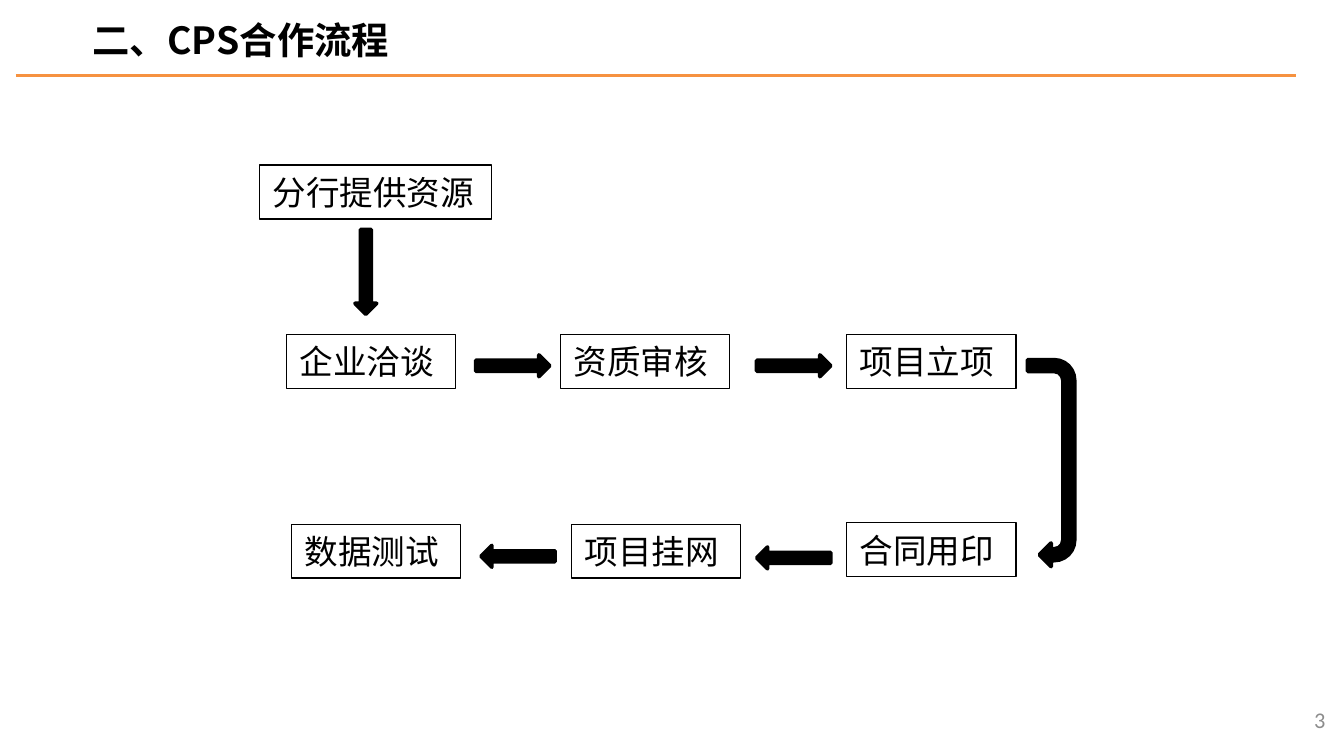
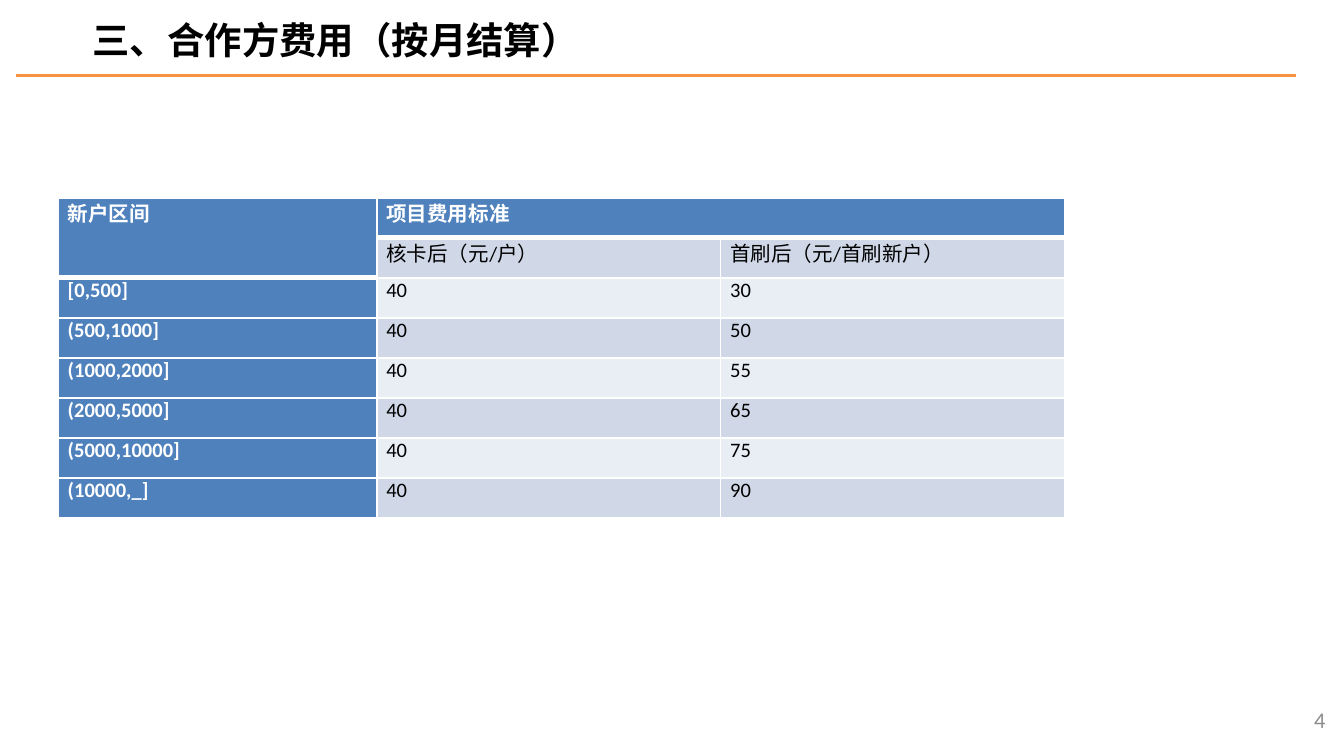
from dataclasses import dataclass

from lxml import etree
from pptx import Presentation
from pptx import util as u
from pptx.dml.color import RGBColor
from pptx.enum import shapes, text
from pptx.oxml.ns import qn

CJK_FONT = "Noto Sans CJK SC"
LATIN_FONT = "Calibri"
BLACK, WHITE, GREY = "000000", "FFFFFF", "8C8C8C"
ORANGE, HEADER_BLUE = "F69240", "4F81BD"
BANDS = ("D0D8E8", "E9EDF4")

TITLE_FORMAT = {"size": u.Pt(20), "bold": True, "name": CJK_FONT}
STEP_FORMAT = {"size": u.Pt(18), "bold": False, "name": CJK_FONT}
NUMBER_FORMAT = {"size": u.Pt(12), "bold": False, "name": LATIN_FONT}
HEADER_FORMAT = {"size": u.Pt(11), "bold": True, "name": LATIN_FONT}
BODY_FORMAT = {**HEADER_FORMAT, "bold": False}

STEP_HEIGHT = 1.02
ARROW_LENGTH, ARROW_WIDTH = 1.4, 0.41
ARROW = shapes.MSO_SHAPE


@dataclass(frozen=True)
class Step:
    """A process step; lengths in centimetres."""
    label: str
    left: float
    top: float
    width: float = 3.2


@dataclass(frozen=True)
class Arrow:
    """A block arrow; lengths in centimetres, rotation in degrees."""
    left: float
    top: float
    width: float = ARROW_LENGTH
    height: float = ARROW_WIDTH
    kind: shapes.MSO_SHAPE = ARROW.RIGHT_ARROW
    rotation: float = 0


STEPS = (
    Step("分行提供资源", 4.9, 3.12, 4.39),
    Step("企业洽谈", 5.41, 6.32),
    Step("资质审核", 10.59, 6.32),
    Step("项目立项", 16, 6.32),
    Step("合同用印", 16, 9.88),
    Step("项目挂网", 10.8, 9.91),
    Step("数据测试", 5.51, 9.91),
)
ARROWS = (
    Arrow(6.71, 4.34, ARROW_WIDTH, 1.6, ARROW.DOWN_ARROW),
    Arrow(8.99, 6.71),
    Arrow(14.3, 6.71),
    Arrow(17.91, 8.31, 3.91, 0.89, ARROW.U_TURN_ARROW, 90),
    Arrow(14.3, 10.34, rotation=180),
    Arrow(9.09, 10.31, rotation=180),
)
FEE_ROWS = (
    ("新户区间", "项目费用标准", ""),
    ("", "核卡后（元/户）", "首刷后（元/首刷新户）"),
    ("[0,500]", "40", "30"),
    ("(500,1000]", "40", "50"),
    ("(1000,2000]", "40", "55"),
    ("(2000,5000]", "40", "65"),
    ("(5000,10000]", "40", "75"),
    ("(10000,_]", "40", "90"),
)
COLUMN_WIDTHS = (6.02, 6.5, 6.5)
ROW_HEIGHT = 0.756


def colour(value: str) -> RGBColor:
    return RGBColor.from_string(value)


def box(left: float, top: float, width: float, height: float) -> tuple:
    return tuple(u.Cm(length) for length in (left, top, width, height))


def write(frame, content: str, font_format: dict, font_colour: str = BLACK,
          alignment=text.PP_ALIGN.LEFT) -> None:
    """Fill a text frame with one run, using the same CJK font everywhere."""
    paragraph = frame.paragraphs[0]
    paragraph.alignment = alignment
    run = paragraph.add_run()
    run.text = content
    for name, value in font_format.items():
        setattr(run.font, name, value)
    run.font.color.rgb = colour(font_colour)
    east_asian = etree.SubElement(run._r.get_or_add_rPr(), qn("a:ea"))
    east_asian.set("typeface", CJK_FONT)


def add_label(slide, position: tuple, content: str, font_format: dict,
              font_colour: str = BLACK, alignment=text.PP_ALIGN.LEFT) -> None:
    frame = slide.shapes.add_textbox(*position).text_frame
    frame.word_wrap = True
    frame.vertical_anchor = text.MSO_ANCHOR.MIDDLE
    write(frame, content, font_format, font_colour, alignment)


def add_slide(presentation, title: str, number: int):
    """Add a blank slide with the shared title, rule and page number."""
    slide = presentation.slides.add_slide(presentation.slide_layouts[6])
    rule = slide.shapes.add_connector(
        shapes.MSO_CONNECTOR.STRAIGHT,
        u.Cm(0.3), u.Cm(1.42), u.Cm(24.5), u.Cm(1.42))
    rule.line.color.rgb = colour(ORANGE)
    rule.line.width = u.Pt(1.5)
    etree.SubElement(rule._element.spPr, qn("a:effectLst"))
    add_label(slide, box(1.5, 0.18, 11.2, 1.12), title, TITLE_FORMAT)
    add_label(slide, box(19.38, 13.23, 5.92, 0.76), str(number),
              NUMBER_FORMAT, GREY, text.PP_ALIGN.RIGHT)
    return slide


def add_outlined(slide, kind, position: tuple, line_width: float):
    shape = slide.shapes.add_shape(kind, *position)
    shape.shadow.inherit = False
    shape.line.color.rgb = colour(BLACK)
    shape.line.width = u.Pt(line_width)
    return shape


def add_step(slide, step: Step) -> None:
    position = box(step.left, step.top, step.width, STEP_HEIGHT)
    shape = add_outlined(slide, shapes.MSO_SHAPE.RECTANGLE, position, 0.75)
    shape.fill.background()
    write(shape.text_frame, step.label, STEP_FORMAT)


def add_arrow(slide, arrow: Arrow) -> None:
    position = box(arrow.left, arrow.top, arrow.width, arrow.height)
    shape = add_outlined(slide, arrow.kind, position, 2)
    shape.rotation = arrow.rotation
    shape.fill.solid()
    shape.fill.fore_color.rgb = colour(BLACK)


def add_borders(cell, bottom_width: float) -> None:
    properties = cell._tc.get_or_add_tcPr()
    widths = {"lnL": 1, "lnR": 1, "lnT": 1, "lnB": bottom_width}
    for side, width in widths.items():
        line = etree.SubElement(properties, qn(f"a:{side}"), w=str(u.Pt(width)))
        fill = etree.SubElement(line, qn("a:solidFill"))
        etree.SubElement(fill, qn("a:srgbClr"), val=WHITE)


def style_cell(cell, row: int, column: int) -> None:
    is_header = row == 0 or column == 0
    add_borders(cell, 3 if row == 0 or (row, column) == (1, 0) else 1)
    margins = {"margin_left": 0.18, "margin_right": 0.18,
               "margin_top": 0, "margin_bottom": 0}
    for name, length in margins.items():
        setattr(cell, name, u.Cm(length))
    cell.fill.solid()
    cell.fill.fore_color.rgb = colour(
        HEADER_BLUE if is_header else BANDS[(row - 1) % 2])
    if FEE_ROWS[row][column]:
        write(cell.text_frame, FEE_ROWS[row][column],
              HEADER_FORMAT if is_header else BODY_FORMAT,
              WHITE if is_header else BLACK)


def add_fee_table(slide) -> None:
    position = box(1.1, 3.74, sum(COLUMN_WIDTHS), ROW_HEIGHT * len(FEE_ROWS))
    table = slide.shapes.add_table(
        len(FEE_ROWS), len(COLUMN_WIDTHS), *position).table
    table.horz_banding = False
    for column, width in zip(table.columns, COLUMN_WIDTHS):
        column.width = u.Cm(width)
    for row_index, row in enumerate(table.rows):
        row.height = u.Cm(ROW_HEIGHT)
        for column_index, cell in enumerate(row.cells):
            style_cell(cell, row_index, column_index)
    table.cell(0, 0).merge(table.cell(1, 0))
    table.cell(0, 1).merge(table.cell(0, 2))


def main() -> None:
    presentation = Presentation()
    presentation.slide_width = u.Cm(25.4)
    presentation.slide_height = u.Cm(14.29)

    flow_slide = add_slide(presentation, "二、CPS合作流程", 3)
    for step in STEPS:
        add_step(flow_slide, step)
    for arrow in ARROWS:
        add_arrow(flow_slide, arrow)

    fee_slide = add_slide(presentation, "三、合作方费用（按月结算）", 4)
    add_fee_table(fee_slide)
    presentation.save("out.pptx")


if __name__ == "__main__":
    main()
